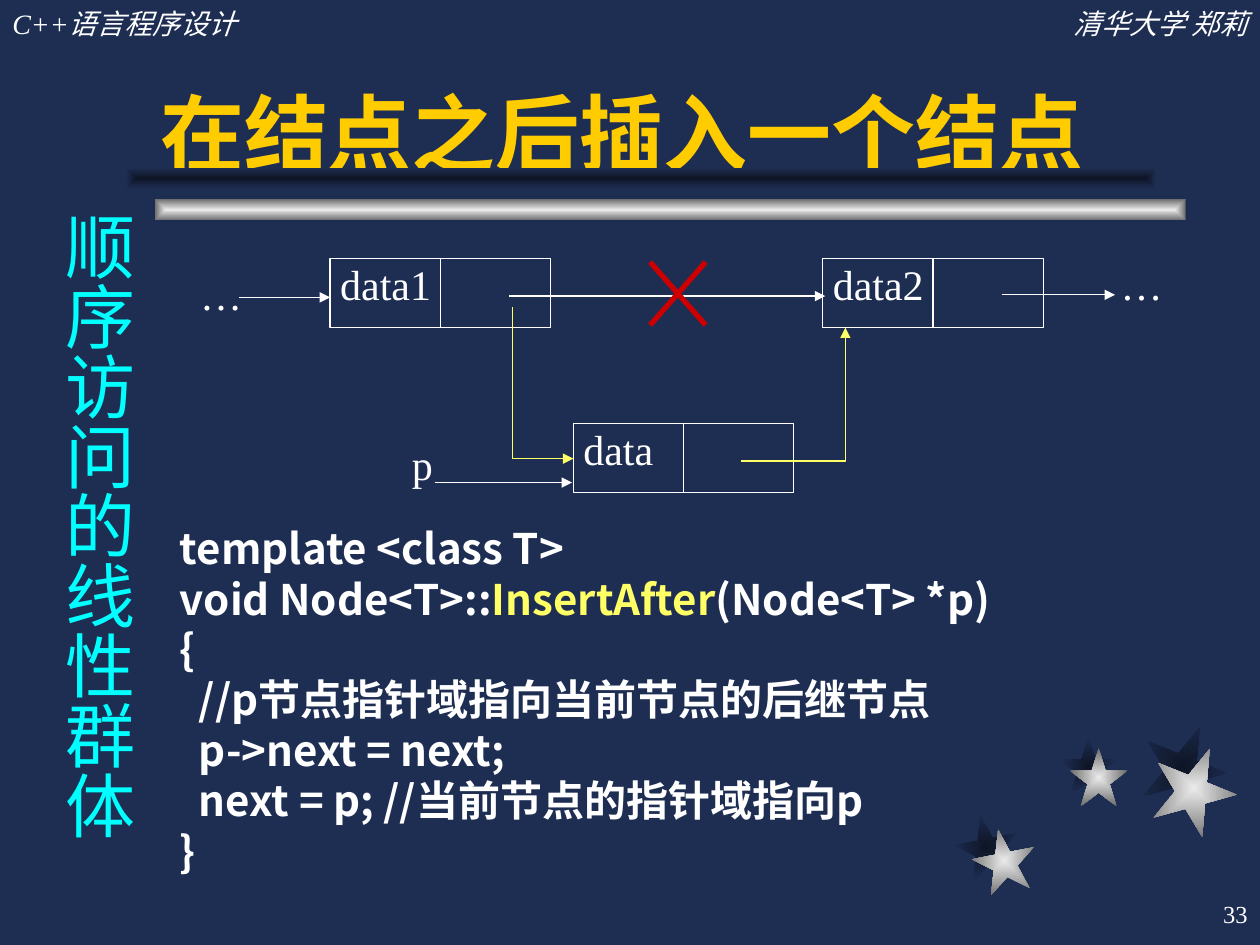
import pptx
import pptx.util
import pptx.dml.color
import pptx.enum.shapes
import pptx.enum.text
import pptx.oxml
import pptx.oxml.ns
from lxml import etree
from pptx.util import Inches

SERIF, SANS = "Times New Roman", "Noto Sans CJK SC"
WHITE, YELLOW, CYAN, RED, GOLD = "FFFFFF", "FFFF66", "00FFFF", "CC0000", "FFCC00"
NAVY, SHADOW, SILVER, GRAY = "1E2E53", "0E1526", "EAEAEA", "6C6C6C"
NODE_W, NODE_H = 1.75, 0.55
ALIGN = pptx.enum.text.PP_ALIGN
ANCHOR = pptx.enum.text.MSO_ANCHOR
SHAPE = pptx.enum.shapes.MSO_SHAPE


def rgb(color):
    """Turn a hex string into a colour."""
    return pptx.dml.color.RGBColor.from_string(color)


def style(p, size, color, name=SERIF, bold=False, italic=False, align=ALIGN.LEFT):
    """Format a whole paragraph, with one font for Latin and Chinese."""
    p.alignment = align
    font = p.font
    font.size, font.bold, font.italic = pptx.util.Pt(size), bold, italic
    font.color.rgb = rgb(color)
    font.name = name
    if name == SANS:
        latin = font._element.find(pptx.oxml.ns.qn("a:latin"))
        ea = etree.Element(pptx.oxml.ns.qn("a:ea"), typeface=name)
        latin.addnext(ea)


def set_frame(tf, insets, anchor=ANCHOR.TOP):
    """Set wrapping, insets and anchor of a text frame."""
    tf.word_wrap = True
    tf.auto_size = pptx.enum.text.MSO_AUTO_SIZE.NONE
    tf.vertical_anchor = anchor
    tf.margin_left, tf.margin_top, tf.margin_right, tf.margin_bottom = map(Inches, insets)


def add_text(s, box, text, size, color=WHITE, insets=(0.1, 0.05, 0.1, 0.05),
             anchor=ANCHOR.TOP, **look):
    """Add a one-paragraph text box and return its frame."""
    tf = s.shapes.add_textbox(*map(Inches, box)).text_frame
    set_frame(tf, insets, anchor)
    p = tf.paragraphs[0]
    p.text = text
    style(p, size, color, **look)
    return tf


def add_arrowhead(sp):
    """Put a triangle at the end of a line."""
    etree.SubElement(sp.line._get_or_add_ln(), pptx.oxml.ns.qn("a:tailEnd"), type="triangle")


def add_line(s, x1, y1, x2, y2, color=WHITE, width=0.75, arrow=False):
    """Draw a straight line, optionally with an arrowhead."""
    line = s.shapes.add_connector(pptx.enum.shapes.MSO_CONNECTOR.STRAIGHT,
                                  *map(Inches, (x1, y1, x2, y2)))
    line.line.color.rgb = rgb(color)
    line.line.width = pptx.util.Pt(width)
    etree.SubElement(line._element.spPr, pptx.oxml.ns.qn("a:effectLst"))
    if arrow:
        add_arrowhead(line)


def add_bent_arrow(s, points):
    """Draw an open arrow with a corner."""
    start, *rest = [tuple(map(Inches, point)) for point in points]
    builder = s.shapes.build_freeform(*start)
    builder.add_line_segments(rest, close=False)
    sp = builder.convert_to_shape()
    sp.shadow.inherit = False
    sp.fill.background()
    sp.line.color.rgb = rgb(YELLOW)
    sp.line.width = pptx.util.Pt(0.75)
    add_arrowhead(sp)


def add_glow(s, kind, box, inner, outer, rotation=0):
    """Add a shape whose fill runs from its centre to its edge."""
    sp = s.shapes.add_shape(kind, *map(Inches, box))
    sp.shadow.inherit = False
    sp.line.fill.background()
    sp.rotation = rotation
    sp.fill.gradient()
    for stop, color in zip(sp.fill.gradient_stops, (inner, outer)):
        stop.color.rgb = rgb(color)
    grad = sp._element.spPr.find(pptx.oxml.ns.qn("a:gradFill"))
    grad.remove(grad.find(pptx.oxml.ns.qn("a:lin")))
    path = etree.SubElement(grad, pptx.oxml.ns.qn("a:path"))
    path.set("path", "rect")
    etree.SubElement(path, pptx.oxml.ns.qn("a:fillToRect"),
                     l="50000", t="50000", r="50000", b="50000")


def add_stars(s, x, y):
    """Place three silver stars over their shadows."""
    stars = [(0, 0.72, 0.5, 349, 0.14, 0.11),
             (0.83, 0.1, 0.46, 0, 0.08, 0.09),
             (1.48, 0, 0.67, 22, 0.08, 0.17)]
    for shift, inner, outer in ((0, SHADOW, NAVY), (1, SILVER, GRAY)):
        for dx, dy, size, rotation, sx, sy in stars:
            box = (x + dx + shift * sx, y + dy + shift * sy, size, size)
            add_glow(s, SHAPE.STAR_5_POINT, box, inner, outer, rotation)


def add_bars(s, x, y, w, h):
    """Place the silver bar under the title and its shadow."""
    add_glow(s, SHAPE.RECTANGLE, (x, y, w, h), SILVER, GRAY)
    add_glow(s, SHAPE.RECTANGLE, (x - 0.23, y - 0.25, w, h), SHADOW, NAVY)


def add_header(s, w, h):
    """Write the course and the author at the top and the number at the bottom."""
    add_text(s, (0, 0, 3.08, 0.37), "C++语言程序设计", 16, italic=True)
    add_text(s, (w - 3.08, 0, 3.08, 0.37), "清华大学 郑莉", 16, italic=True, align=ALIGN.RIGHT)
    add_text(s, (w - 2.08, h - 0.5, 2.08, 0.5), "33", 14,
             anchor=ANCHOR.MIDDLE, align=ALIGN.RIGHT)


def add_title(s, box):
    """Fill and place the title placeholder."""
    sp = s.shapes.title
    sp.left, sp.top, sp.width, sp.height = map(Inches, box)
    tf = sp.text_frame
    set_frame(tf, (0.1, 0.05, 0.1, 0.05), ANCHOR.BOTTOM)
    p = tf.paragraphs[0]
    p.text = "在结点之后插入一个结点"
    style(p, 48, GOLD, name="Arial", bold=True)


def add_node(s, x, y, text):
    """Draw a list node with a data half and a pointer half."""
    sp = s.shapes.add_shape(SHAPE.RECTANGLE, *map(Inches, (x, y, NODE_W, NODE_H)))
    sp.shadow.inherit = False
    sp.fill.background()
    sp.line.color.rgb = rgb(WHITE)
    sp.line.width = pptx.util.Pt(0.75)
    set_frame(sp.text_frame, (0.08, 0, 0, 0))
    p = sp.text_frame.paragraphs[0]
    p.text = text
    style(p, 24, WHITE)
    add_line(s, x + NODE_W / 2, y, x + NODE_W / 2, y + NODE_H)


def add_diagram(s, x, y):
    """Draw the linked list with the new node being inserted."""
    for dx, dy, text in ((0, 0, "data1"), (3.91, 0, "data2"), (1.93, 1.31, "data")):
        add_node(s, x + dx, y + dy, text)
    for x1, x2, dy in ((-0.72, 0, 0.31), (1.42, 3.93, 0.3), (5.33, 6.23, 0.29), (0.83, 1.92, 1.78)):
        add_line(s, x + x1, y + dy, x + x2, y + dy, arrow=True)
    add_bent_arrow(s, [(x + 3.26, y + 1.61), (x + 4.09, y + 1.61), (x + 4.09, y + NODE_H)])
    add_bent_arrow(s, [(x + 1.45, y + 0.39), (x + 1.45, y + 1.59), (x + 1.93, y + 1.59)])
    for top, bottom in ((0.03, 0.53), (0.53, 0.03)):
        add_line(s, x + 2.54, y + top, x + 2.98, y + bottom, RED, 3)
    add_text(s, (x - 1.2, y + 0.08, 0.67, 0.43), "…", 24, insets=(0, 0, 0, 0), align=ALIGN.CENTER)
    add_text(s, (x + 5.96, y - 0.05, 0.96, 0.6), "…", 24, align=ALIGN.CENTER)
    add_text(s, (x + 0.65, y + 1.43, 0.9, 0.44), "p", 24, insets=(0, 0, 0, 0))


def add_code(s, box):
    """Write the insertion function, with its name highlighted."""
    name = "InsertAfter"
    lines = ["template <class T>", f"void Node<T>::{name}(Node<T> *p)", "{",
             "  //p节点指针域指向当前节点的后继节点", "  p->next = next;",
             "  next = p; //当前节点的指针域指向p", "}"]
    tf = s.shapes.add_textbox(*map(Inches, box)).text_frame
    set_frame(tf, (0.1, 0.05, 0.1, 0.05))
    for i, line in enumerate(lines):
        p = tf.add_paragraph() if i else tf.paragraphs[0]
        p.line_spacing = pptx.util.Pt(28.8)
        style(p, 24, WHITE, name=SANS, bold=True)
        before, found, after = line.partition(name)
        for text in filter(None, (before, found, after)):
            r = p.add_run()
            r.text = text
            if text == name:
                r.font.color.rgb = rgb(YELLOW)


def add_side_heading(s, box):
    """Write the chapter name from top to bottom."""
    tf = add_text(s, box, "顺序访问的线性群体", 40, CYAN, (0.05, 0.1, 0.05, 0.1), name=SANS)
    tf._txBody.bodyPr.set("vert", "eaVert")


def main():
    """Build the slide and save it."""
    prs = pptx.Presentation()
    prs.slide_width, prs.slide_height = Inches(10), Inches(7.5)
    s = prs.slides.add_slide(prs.slide_layouts[5])
    s.background.fill.solid()
    s.background.fill.fore_color.rgb = rgb(NAVY)
    add_stars(s, 7.58, 5.75)
    add_bars(s, 1.23, 1.58, 8.18, 0.17)
    add_header(s, 10, 7.5)
    add_title(s, (1.17, 0.25, 8.33, 1.25))
    add_diagram(s, 2.62, 2.05)
    add_code(s, (1.33, 4.1, 8.17, 2.9))
    add_side_heading(s, (0.3, 1.58, 0.86, 5.24))
    prs.save("out.pptx")


if __name__ == "__main__":
    main()
